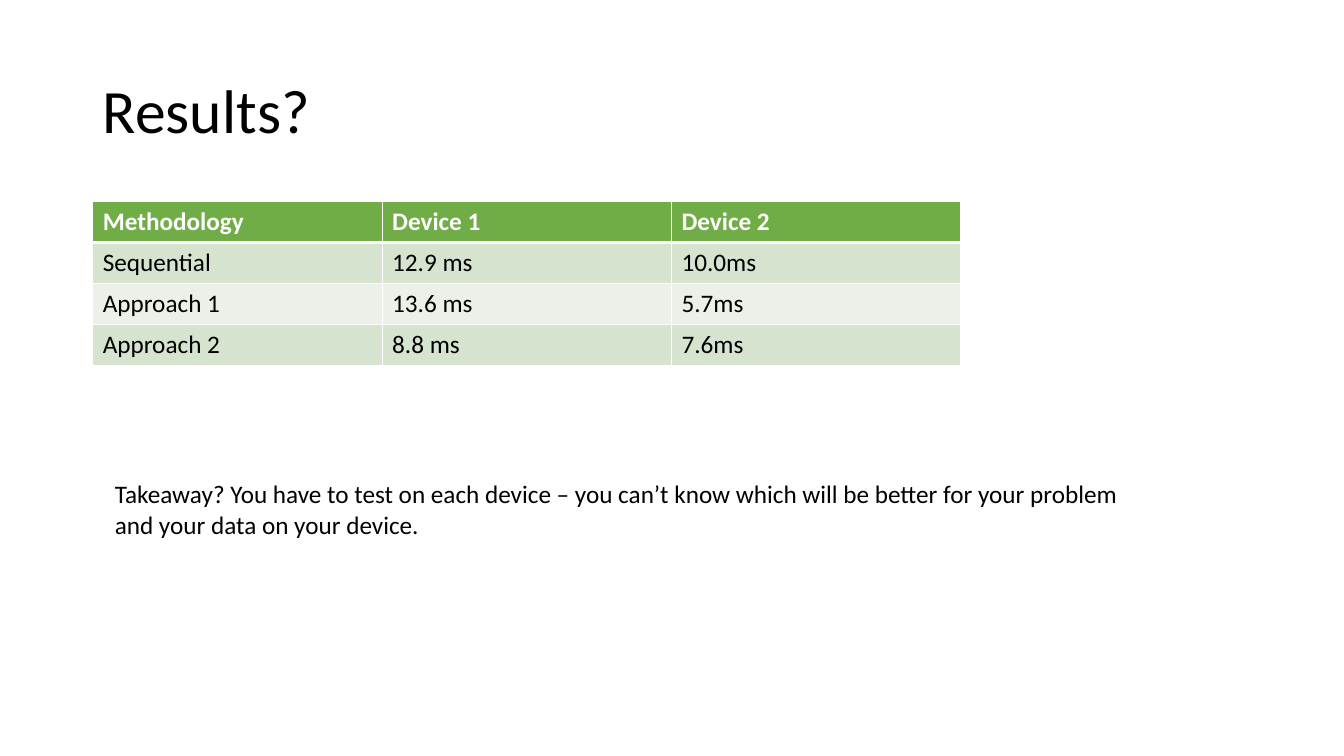
from dataclasses import dataclass

from lxml import etree
from pptx import Presentation
from pptx import util as u
from pptx.dml.color import RGBColor
from pptx.enum import text
from pptx.oxml import ns


@dataclass(frozen=True)
class Theme:
    font: str = "Calibri"
    title_size: int = 44
    body_size: int = 18
    ink: str = "000000"
    paper: str = "FFFFFF"
    header: str = "70AD47"
    bands: tuple[str, str] = ("D5E3CF", "EBF1E9")
    rule: float = 1
    header_rule: float = 3


@dataclass(frozen=True)
class Box:
    """A rectangle in inches."""
    left: float
    top: float
    width: float
    height: float

    def lengths(self) -> tuple[u.Length, ...]:
        return tuple(u.Inches(v) for v in (self.left, self.top, self.width, self.height))


@dataclass(frozen=True)
class Result:
    methodology: str
    device_1: str
    device_2: str

    def texts(self) -> tuple[str, str, str]:
        return self.methodology, self.device_1, self.device_2


THEME = Theme()
PAGE_WIDTH, PAGE_HEIGHT = 13.33, 7.5
MARGIN = 0.92
COLUMN, ROW = 2.87, 0.405
RESULTS = (
    Result("Methodology", "Device 1", "Device 2"),
    Result("Sequential", "12.9 ms", "10.0ms"),
    Result("Approach 1", "13.6 ms", "5.7ms"),
    Result("Approach 2", "8.8 ms", "7.6ms"),
)
TITLE_BOX = Box(MARGIN, 0.4, PAGE_WIDTH - 2 * MARGIN, 1.45)
TABLE_BOX = Box(MARGIN, 2, 3 * COLUMN, len(RESULTS) * ROW)
TAKEAWAY_BOX = Box(1.04, 4.7, 10.48, 0.71)
TAKEAWAY = (
    "Takeaway? You have to test on each device – you can’t know which "
    "will be better for your problem and your data on your device."
)


def write(frame, words: str, size: int, color: str, bold: bool = False):
    """Fill a text frame with one styled paragraph and return it."""
    frame.text = words
    para = frame.paragraphs[0]
    para.font.name = THEME.font
    para.font.size = u.Pt(size)
    para.font.bold = bold
    para.font.color.rgb = RGBColor.from_string(color)
    return para


def add_title(page, words: str) -> None:
    title = page.shapes.title
    title.left, title.top, title.width, title.height = TITLE_BOX.lengths()
    title.text_frame.vertical_anchor = text.MSO_ANCHOR.MIDDLE
    para = write(title.text_frame, words, THEME.title_size, THEME.ink)
    para.alignment = text.PP_ALIGN.LEFT
    para.line_spacing = 0.9


def set_borders(cell, top: float, bottom: float) -> None:
    """Draw the cell's four edges; must precede its fill."""
    properties = cell._tc.get_or_add_tcPr()
    widths = {"lnL": THEME.rule, "lnR": THEME.rule, "lnT": top, "lnB": bottom}
    for edge, points in widths.items():
        line = etree.SubElement(properties, ns.qn(f"a:{edge}"), w=str(u.Pt(points)))
        fill = etree.SubElement(line, ns.qn("a:solidFill"))
        etree.SubElement(fill, ns.qn("a:srgbClr"), val=THEME.paper)


def add_results(page, results: tuple[Result, ...]) -> None:
    table = page.shapes.add_table(len(results), 3, *TABLE_BOX.lengths()).table
    for column in table.columns:
        column.width = u.Inches(COLUMN)
    for index, result in enumerate(results):
        table.rows[index].height = u.Inches(ROW)
        is_header = index == 0
        fill = THEME.header if is_header else THEME.bands[(index - 1) % 2]
        ink = THEME.paper if is_header else THEME.ink
        top = THEME.header_rule if index == 1 else THEME.rule
        bottom = THEME.header_rule if is_header else THEME.rule
        for cell, words in zip(table.rows[index].cells, result.texts()):
            set_borders(cell, top, bottom)
            cell.fill.solid()
            cell.fill.fore_color.rgb = RGBColor.from_string(fill)
            write(cell.text_frame, words, THEME.body_size, ink, is_header)


def add_takeaway(page, words: str) -> None:
    frame = page.shapes.add_textbox(*TAKEAWAY_BOX.lengths()).text_frame
    frame.word_wrap = True
    frame.auto_size = text.MSO_AUTO_SIZE.SHAPE_TO_FIT_TEXT
    write(frame, words, THEME.body_size, THEME.ink)


def main() -> None:
    deck = Presentation()
    deck.slide_width = u.Inches(PAGE_WIDTH)
    deck.slide_height = u.Inches(PAGE_HEIGHT)
    page = deck.slides.add_slide(deck.slide_layouts.get_by_name("Title Only"))
    add_title(page, "Results?")
    add_results(page, RESULTS)
    add_takeaway(page, TAKEAWAY)
    deck.save("out.pptx")


if __name__ == "__main__":
    main()
